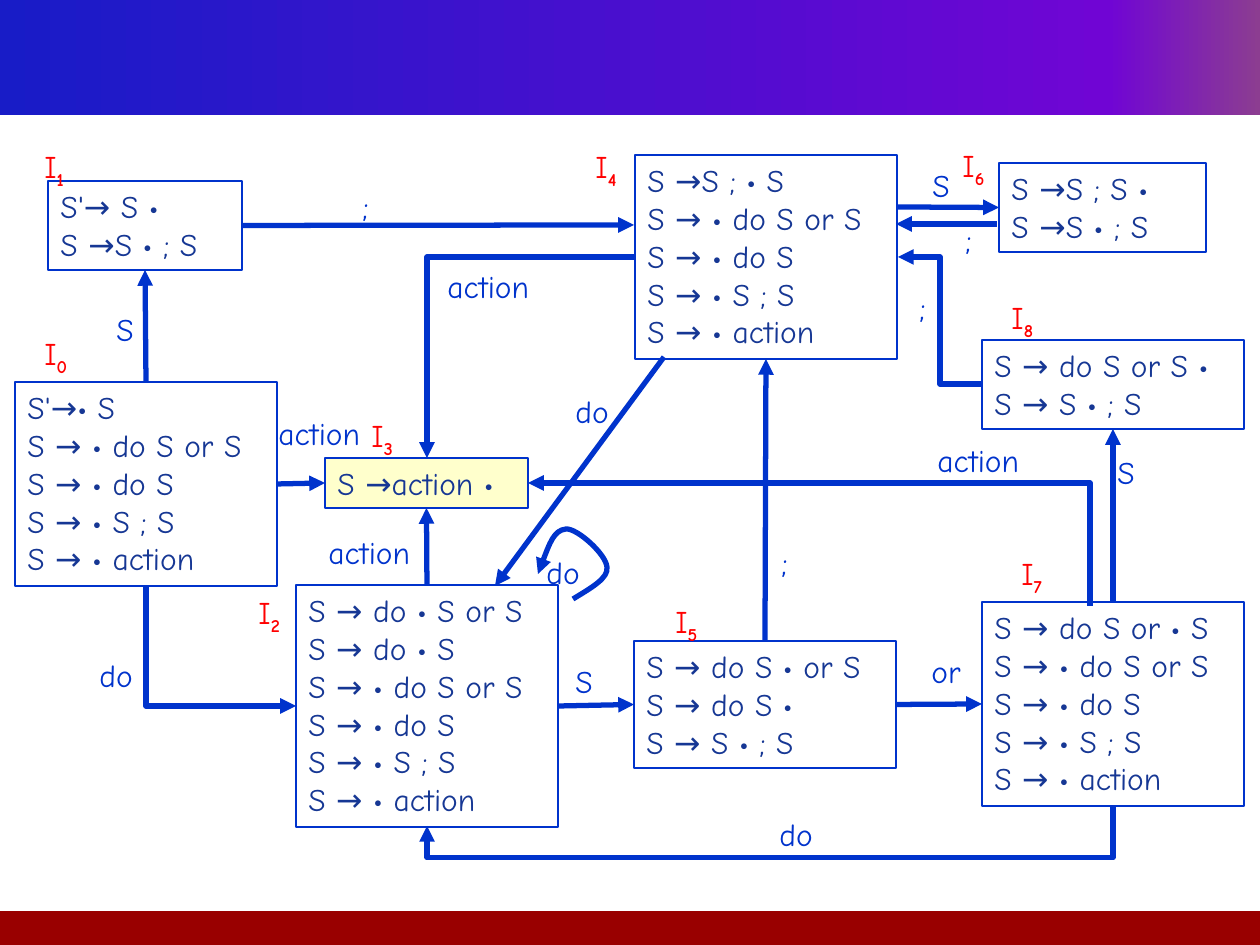
from copy import deepcopy
from dataclasses import dataclass

from lxml import etree
from pptx import Presentation
from pptx import util as u
from pptx.dml.color import RGBColor
from pptx.enum import shapes, text
from pptx.oxml.ns import qn

PX = 914400 / 126
HUE = {"blue": "0033CC", "ink": "163794", "red": "FF0000", "pale": "FFFFCC",
       "white": "FFFFFF", "foot": "990000",
       "left": "181CC7", "mid": "7005D4", "right": "8C3D91"}
FRAME = {"word_wrap": True, "vertical_anchor": text.MSO_ANCHOR.TOP,
         "auto_size": text.MSO_AUTO_SIZE.NONE}
FONT = {"name": "Comic Neue", "size": u.Pt(18)}
STRAIGHT = "line"
CORNER = "bentConnector2"
STEP = "bentConnector3"


@dataclass
class State:
    name: str
    x: int
    y: int
    w: int
    h: int
    items: list[str]
    tag: tuple[int, int]
    fill: str = "white"


@dataclass
class Link:
    """Each end is a point in px, or a state name with a side number."""
    start: tuple
    end: tuple
    kind: str = STRAIGHT
    arrow: str = "tailEnd"
    turn: int = 0
    adj: int | None = None


@dataclass
class Label:
    word: str
    x: int
    y: int
    w: int


CORE = ["S → • do S or S", "S → • do S", "S → • S ; S", "S → • action"]
STATES = [
    State("0", 15, 382, 262, 204, ["S'→• S", *CORE], (32, 328)),
    State("1", 48, 181, 194, 89, ["S'→ S •", "S →S • ; S"], (32, 141)),
    State("2", 296, 585, 262, 242, ["S → do • S or S", "S → do • S", *CORE],
          (246, 587)),
    State("3", 325, 458, 203, 50, ["S →action •"], (359, 410), "pale"),
    State("4", 635, 155, 262, 204, ["S →S ; • S", *CORE], (583, 141)),
    State("5", 634, 641, 262, 127,
          ["S → do S • or S", "S → do S •", "S → S • ; S"], (663, 596)),
    State("6", 999, 163, 207, 89, ["S →S ; S •", "S →S • ; S"], (950, 140)),
    State("7", 982, 602, 262, 204, ["S → do S or • S", *CORE], (1009, 548)),
    State("8", 982, 340, 262, 89, ["S → do S or S •", "S → S • ; S"],
          (999, 292)),
]
LINKS = [
    Link(("0", 0), ("1", 2)),
    Link(("0", 3), ("3", 1)),
    Link(("2", 0), ("3", 2)),
    Link(("2", 3), ("5", 1)),
    Link(("5", 0), ("4", 2)),
    Link(("5", 3), ("7", 1)),
    Link(("7", 0), ("8", 2)),
    Link(("1", 3), (634, 225)),
    Link((898, 207), ("6", 1)),
    Link((997, 224), (896, 224)),
    Link((664, 357), (495, 586)),
    Link((635, 257), (427, 458), CORNER),
    Link((296, 706), (146, 586), CORNER, "headEnd"),
    Link((528, 483), (1090, 606), CORNER, "headEnd"),
    Link((982, 384), (898, 257), STEP),
    # Runs below the states, from 7 back to 2
    Link((780, 1159), (760, 473), STEP, "headEnd", 90, -158700),
]
LABELS = [
    Label(";", 350, 181, 35), Label(";", 769, 537, 35),
    Label(";", 907, 282, 35), Label(";", 953, 214, 35),
    Label("S", 104, 304, 48), Label("S", 563, 656, 48),
    Label("S", 920, 160, 48), Label("S", 1105, 447, 48),
    Label("action", 266, 408, 116), Label("action", 316, 527, 116),
    Label("action", 435, 261, 116), Label("action", 925, 435, 116),
    Label("do", 87, 650, 68), Label("do", 534, 547, 68),
    Label("do", 563, 386, 68), Label("do", 767, 809, 68),
    Label("or", 919, 646, 58),
]
LOOP = [(573, 599), (591, 588), (609, 578), (607, 567), (606, 554),
        (577, 528), (566, 529), (554, 530), (546, 552), (538, 574)]


def emu(*vals: int) -> list[int]:
    return [round(v * PX) for v in vals]


def rgb(key: str) -> RGBColor:
    return RGBColor.from_string(HUE[key])


def style(run, hue: str) -> None:
    for key, val in FONT.items():
        setattr(run.font, key, val)
    run.font.color.rgb = rgb(hue)


def write(shape, lines: list[str], hue: str):
    frame = shape.text_frame
    for key, val in FRAME.items():
        setattr(frame, key, val)
    for i, line in enumerate(lines):
        para = frame.paragraphs[0] if i == 0 else frame.add_paragraph()
        para.alignment = text.PP_ALIGN.LEFT
        run = para.add_run()
        run.text = line
        style(run, hue)
    return frame


def rect(tree, *box: int):
    shape = tree.add_shape(shapes.MSO_SHAPE.RECTANGLE, *emu(*box))
    shape.shadow.inherit = False
    return shape


def stroke(shape, arrow: str) -> None:
    shape.line.color.rgb = rgb("blue")
    shape.line.width = u.Pt(3)
    ln = shape._element.spPr.find(qn("a:ln"))
    etree.SubElement(ln, qn("a:" + arrow), type="triangle")


def bars(tree) -> None:
    top = rect(tree, 0, 0, 1260, 115)
    top.line.fill.background()
    top.fill.gradient()
    top.fill.gradient_angle = 0
    stops = top._element.spPr.find(qn("a:gradFill")).find(qn("a:gsLst"))
    stops.append(deepcopy(stops[-1]))
    marks = zip(top.fill.gradient_stops, ("left", "mid", "right"), (0, 0.88, 1))
    for stop, hue, pos in marks:
        stop.color.rgb = rgb(hue)
        stop.position = pos
    foot = rect(tree, -5, 911, 1265, 34)
    foot.line.fill.background()
    foot.fill.solid()
    foot.fill.fore_color.rgb = rgb("foot")


def node(tree, st: State):
    box = rect(tree, st.x, st.y, st.w, st.h)
    box.fill.solid()
    box.fill.fore_color.rgb = rgb(st.fill)
    box.line.color.rgb = rgb("blue")
    box.line.width = u.Pt(0.75)
    write(box, st.items, "ink")
    return box


def join(tree, link: Link, nodes: dict) -> None:
    ends = [(0, 0) if isinstance(e[0], str) else e
            for e in (link.start, link.end)]
    line = tree.add_connector(shapes.MSO_CONNECTOR.STRAIGHT,
                              *emu(*ends[0], *ends[1]))
    for end, hook in ((link.start, line.begin_connect),
                      (link.end, line.end_connect)):
        if isinstance(end[0], str):
            hook(nodes[end[0]], end[1])
    stroke(line, link.arrow)
    props = line._element.spPr
    etree.SubElement(props, qn("a:effectLst"))
    geom = props.find(qn("a:prstGeom"))
    geom.set("prst", link.kind)
    if link.turn:
        props.find(qn("a:xfrm")).set("rot", str(link.turn * 60000))
    if link.adj is not None:
        etree.SubElement(geom.find(qn("a:avLst")), qn("a:gd"),
                         name="adj1", fmla=f"val {link.adj}")


def loop(tree) -> None:
    pen = tree.build_freeform(*LOOP[0], scale=PX)
    pen.add_line_segments(LOOP[1:], close=False)
    curve = pen.convert_to_shape()
    curve.shadow.inherit = False
    curve.fill.background()
    stroke(curve, "tailEnd")
    # Every three points make one Bezier segment
    legs = list(curve._element.iter(qn("a:lnTo")))
    for i in range(0, len(legs), 3):
        bez = etree.SubElement(legs[i].getparent(), qn("a:cubicBezTo"))
        for leg in legs[i:i + 3]:
            bez.append(leg[0])
            leg.getparent().remove(leg)


def label(tree, lab: Label, hue: str = "blue"):
    box = tree.add_textbox(*emu(lab.x, lab.y, lab.w, 50))
    return write(box, [lab.word], hue)


def tag(tree, st: State) -> None:
    frame = label(tree, Label("I", *st.tag, 55), "red")
    sub = frame.paragraphs[0].add_run()
    sub.text = st.name
    style(sub, "red")
    sub.font.bold = True
    sub._r.get_or_add_rPr().set("baseline", "-25000")


def main() -> None:
    deck = Presentation()
    deck.slide_width, deck.slide_height = emu(1260, 945)
    tree = deck.slides.add_slide(deck.slide_layouts[6]).shapes
    bars(tree)
    # States and transitions
    nodes = {st.name: node(tree, st) for st in STATES}
    for link in LINKS:
        join(tree, link, nodes)
    loop(tree)
    # Names of states and symbols on arrows
    for st in STATES:
        tag(tree, st)
    for lab in LABELS:
        label(tree, lab)
    deck.save("out.pptx")


if __name__ == "__main__":
    main()
